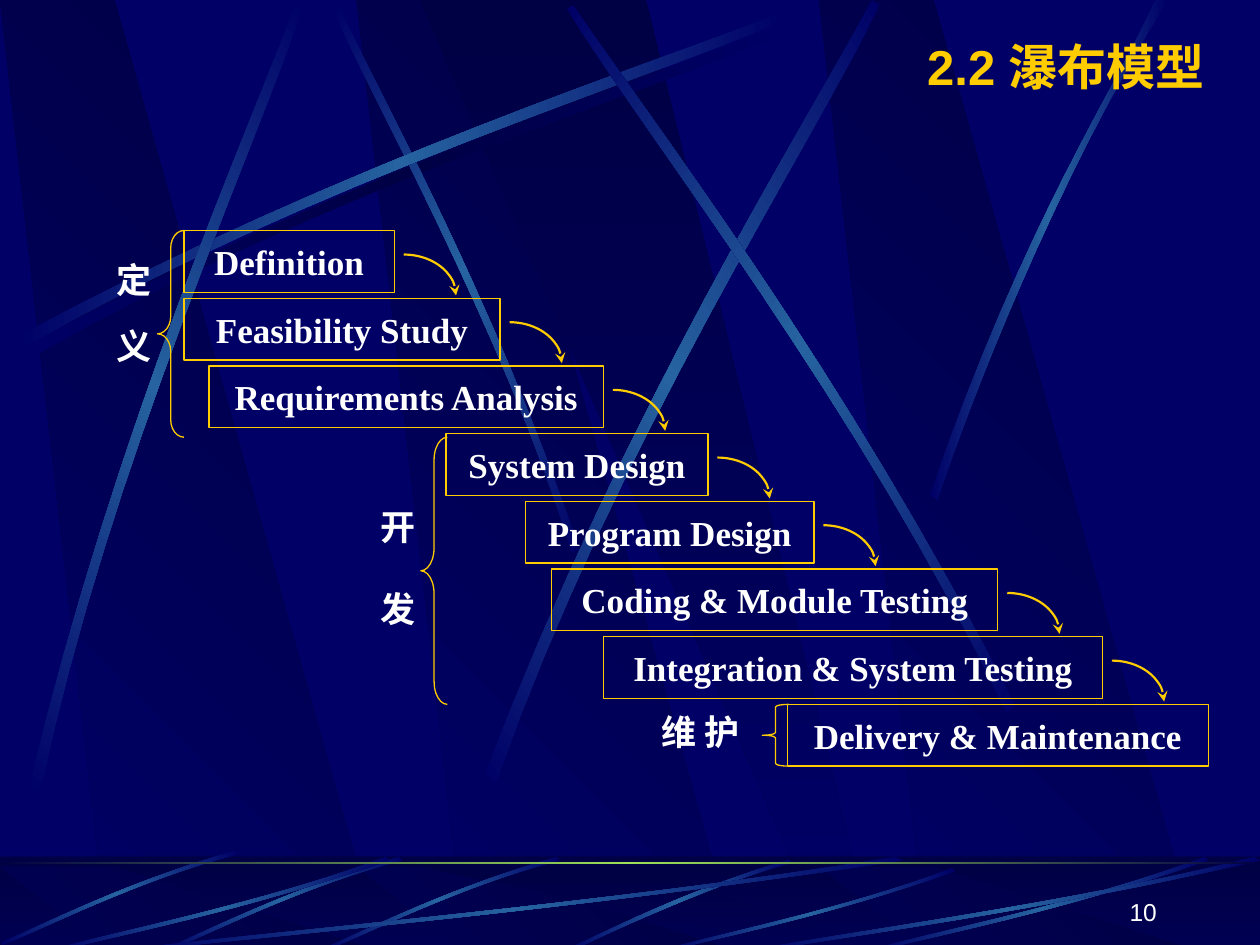
from lxml.etree import SubElement
from pptx import Presentation
from pptx.dml.color import RGBColor
from pptx.enum.shapes import MSO_SHAPE
from pptx.enum.text import MSO_ANCHOR, PP_ALIGN
from pptx.oxml.ns import qn
from pptx.util import Inches, Pt

NAVY = RGBColor(0x00, 0x00, 0x66)
DARK = RGBColor(0x00, 0x00, 0x44)
BEAM = RGBColor(0x26, 0x63, 0xA0)
GREEN = RGBColor(0x9C, 0xE1, 0x57)
GOLD = RGBColor(0xFF, 0xCC, 0x00)
WHITE = RGBColor(0xFF, 0xFF, 0xFF)

# Phase name, left, width
PHASES = [
    ("Definition", 1.46, 1.67),
    ("Feasibility Study", 1.46, 2.51),
    ("Requirements Analysis", 1.66, 3.13),
    ("System Design", 3.54, 2.08),
    ("Program Design", 4.17, 2.29),
    ("Coding & Module Testing", 4.38, 3.54),
    ("Integration & System Testing", 4.79, 3.96),
    ("Delivery & Maintenance", 6.25, 3.34),
]
FIRST_TOP, LAST_TOP, PHASE_HEIGHT = 1.83, 5.59, 0.49

# Lines, box, alignment, points between lines
STAGES = [
    (["维 护"], (5.04, 5.59, 1.04, 0.49), PP_ALIGN.CENTER, 0),
    (["开", "发"], (2.92, 3.96, 0.62, 1.14), PP_ALIGN.JUSTIFY, 23),
    (["定", "义"], (0.83, 2.0, 0.62, 1.14), PP_ALIGN.JUSTIFY, 14),
]
# Left, top, height, curl
BRACES = [(1.25, 1.83, 1.64, 0.66), (3.34, 3.47, 2.12, 0.86), (6.05, 5.59, 0.49, 0.1)]

PLANK_LEFTS = [2.83, 0, 6.5]
# Beams: gradient angle, then the outward curve (4 points) and the curve back (4 points)
SHADOW_BEAM = (180, [(0.2, 2.75), (2.84, 1.34), (5.24, 0.59), (6.26, 0.18),
                     (6.29, 0.24), (5.28, 0.69), (2.54, 1.51), (0.23, 2.85)])
UPPER_BEAMS = [
    (225, [(4.6, 4.36), (3.91, 2.34), (3.02, 0.77), (2.69, 0.05),
           (2.64, 0.07), (2.95, 0.79), (3.98, 2.58), (4.54, 4.39)]),
    (180, [(x - 0.06, y - 0.08) for x, y in SHADOW_BEAM[1]]),
    (131.7, [(0.23, 6.25), (0.93, 3.34), (1.97, 1.05), (2.35, 0.02),
             (2.41, 0.04), (2.07, 1.08), (0.86, 3.68), (0.32, 6.29)]),
    (141.6, [(3.85, 6.14), (4.98, 3.2), (6.38, 1.02), (6.92, 0),
             (6.98, 0.04), (6.49, 1.08), (4.86, 3.55), (3.94, 6.21)]),
    (214.8, [(8.06, 5.6), (6.7, 2.93), (5.16, 0.95), (4.55, 0.04),
             (4.5, 0.07), (5.07, 1.01), (6.85, 3.25), (7.99, 5.66)]),
    (180, [(7.38, 3.93), (8.14, 1.73), (8.88, 0.66), (9.17, 0),
           (9.27, 0), (8.36, 1.45), (7.69, 3.22), (7.44, 3.97)]),
]
FLOOR_BEAM = [(6.27, 6.82), (5.37, 7.09), (4.77, 7.42), (4.48, 7.54),
              (4.53, 7.55), (4.9, 7.37), (5.71, 7), (6.28, 6.85)]
SHORT_BEAM = [(1.86, 0.04), (0.99, 0.29), (0.31, 0.64), (0, 0.77),
              (0.01, 0.79), (0.32, 0.67), (1.09, 0.27), (1.88, 0.07)]
SHORT_BEAM_PLACES = [(2.56, 6.76), (1.31, 6.76), (0.01, 6.71)]
# Long floor beams share one outline, given as fractions of their box
LONG_BEAM = [(1, 0.04), (0.57, 0.57), (0.17, 0.85), (0.01, 1),
             (0, 0.98), (0.16, 0.81), (0.62, 0.5), (0.99, 0)]
LONG_BEAM_BOXES = [(1, 6.8, 6.17, 0.75), (0.42, 6.8, 2.67, 0.75), (5.27, 6.89, 2.31, 0.66),
                   (6.92, 6.8, 2.67, 0.75), (6, 6.8, 4, 0.75)]


def fill_gradient(shape, colors, angle):
    """Spread any number of colours evenly along a clockwise angle, with no outline."""
    shape.shadow.inherit = False
    shape.line.fill.background()
    shape.fill.gradient()
    gradient = shape._element.spPr.find(qn("a:gradFill"))
    gradient.clear()
    stops = SubElement(gradient, qn("a:gsLst"))
    for index, color in enumerate(colors):
        position = 100000 * index // (len(colors) - 1)
        stop = SubElement(stops, qn("a:gs"), pos=str(position))
        SubElement(stop, qn("a:srgbClr"), val=str(color))
    SubElement(gradient, qn("a:lin"), ang=str(round(angle * 60000)), scaled="0")


def add_polygon(slide, points, colors, angle):
    corners = [(Inches(x), Inches(y)) for x, y in points]
    builder = slide.shapes.build_freeform(*corners[0], scale=1.0)
    builder.add_line_segments(corners[1:], close=True)
    fill_gradient(builder.convert_to_shape(), colors, angle)


def curve_points(controls, steps=16):
    """Points along a cubic Bezier curve."""
    points = []
    for step in range(steps + 1):
        t = step / steps
        weights = ((1 - t) ** 3, 3 * t * (1 - t) ** 2, 3 * t * t * (1 - t), t ** 3)
        points.append(tuple(sum(w * p[axis] for w, p in zip(weights, controls)) for axis in (0, 1)))
    return points


def add_beam(slide, controls, angle=180, middle=BEAM):
    outline = curve_points(controls[:4]) + curve_points(controls[4:])
    add_polygon(slide, outline, [NAVY, middle, NAVY], angle)


def add_planks(slide, top, bottom):
    for left in PLANK_LEFTS:
        points = [(left + 0.86, bottom), (left + 3.02, bottom), (left + 0.91, top), (left, top)]
        add_polygon(slide, points, [DARK, NAVY], 135)
    points = [(3.33, top), (6.58, bottom), (6.94, bottom), (5.13, top)]
    add_polygon(slide, points, [DARK, NAVY], 90)


def add_shape(slide, kind, *box):
    shape = slide.shapes.add_shape(kind, *map(Inches, box))
    shape.shadow.inherit = False
    return shape


def add_background(slide):
    slide.background.fill.solid()
    slide.background.fill.fore_color.rgb = NAVY
    add_planks(slide, 0, 7.52)
    add_beam(slide, SHADOW_BEAM[1], SHADOW_BEAM[0], DARK)
    for angle, controls in UPPER_BEAMS:
        add_beam(slide, controls, angle)

    fill_gradient(add_shape(slide, MSO_SHAPE.RECTANGLE, 0, 6.8, 10, 0.75), [DARK, NAVY], 90)
    add_planks(slide, 6.88, 7.55)
    veil = add_shape(slide, MSO_SHAPE.RECTANGLE, 0, 6.79, 10, 0.75)
    veil.fill.solid()
    veil.fill.fore_color.rgb = DARK
    veil.line.fill.background()
    color = veil._element.spPr.find(qn("a:solidFill")).find(qn("a:srgbClr"))
    SubElement(color, qn("a:alpha"), val="50000")

    add_beam(slide, FLOOR_BEAM)
    for left, top in SHORT_BEAM_PLACES:
        add_beam(slide, [(left + x, top + y) for x, y in SHORT_BEAM], 134.9)
    for left, top, width, height in LONG_BEAM_BOXES:
        add_beam(slide, [(left + x * width, top + y * height) for x, y in LONG_BEAM])
    horizon = add_shape(slide, MSO_SHAPE.RECTANGLE, 0, 6.84, 10, 0.02)
    fill_gradient(horizon, [DARK, GREEN, DARK], 180)


def write_lines(shape, lines, alignment, size=20, font="Times New Roman",
                color=WHITE, bold=True, anchor=MSO_ANCHOR.TOP, gap=0):
    frame = shape.text_frame
    frame.word_wrap = True
    frame.vertical_anchor = anchor
    frame.text = "\n".join(lines)
    for index, paragraph in enumerate(frame.paragraphs):
        paragraph.alignment = alignment
        paragraph.space_before = Pt(gap if index else 0)
        paragraph.font.name = font
        paragraph.font.size = Pt(size)
        paragraph.font.bold = bold
        paragraph.font.color.rgb = color


def outline_gold(shape, width):
    shape.fill.background()
    shape.line.color.rgb = GOLD
    shape.line.width = Pt(width)


def add_waterfall(slide):
    pitch = (LAST_TOP - FIRST_TOP) / (len(PHASES) - 1)
    for index, (name, left, width) in enumerate(PHASES):
        top = FIRST_TOP + index * pitch
        box = add_shape(slide, MSO_SHAPE.RECTANGLE, left, top, width, PHASE_HEIGHT)
        outline_gold(box, 0.75)
        write_lines(box, [name], PP_ALIGN.CENTER, anchor=MSO_ANCHOR.MIDDLE)
        if index < len(PHASES) - 1:
            arrow = add_shape(slide, MSO_SHAPE.ARC, left + width - 0.34, top + 0.19, 0.83, 0.65)
            outline_gold(arrow, 1.25)
            SubElement(arrow.line._get_or_add_ln(), qn("a:tailEnd"), type="stealth")
    for left, top, height, curl in BRACES:
        brace = add_shape(slide, MSO_SHAPE.LEFT_BRACE, left, top, 0.21, height)
        brace.adjustments[0] = curl
        outline_gold(brace, 0.75)
    for lines, box, alignment, gap in STAGES:
        write_lines(slide.shapes.add_textbox(*map(Inches, box)), lines, alignment, gap=gap)


def main():
    presentation = Presentation()
    presentation.slide_width, presentation.slide_height = Inches(10), Inches(7.5)
    slide = presentation.slides.add_slide(presentation.slide_layouts[5])
    add_background(slide)
    add_waterfall(slide)

    title = slide.shapes.title
    title.left, title.top, title.width, title.height = map(Inches, (6.83, 0.25, 2.83, 0.55))
    write_lines(title, ["2.2 瀑布模型"], PP_ALIGN.RIGHT, 28, "Arial", GOLD, anchor=MSO_ANCHOR.MIDDLE)
    slide.shapes._spTree.append(title._element)  # bring in front of the background

    number = slide.shapes.add_textbox(*map(Inches, (7.2, 6.9, 2.08, 0.5)))
    write_lines(number, ["10"], PP_ALIGN.RIGHT, 14, "Arial", bold=False, anchor=MSO_ANCHOR.BOTTOM)
    presentation.save("out.pptx")


if __name__ == "__main__":
    main()
